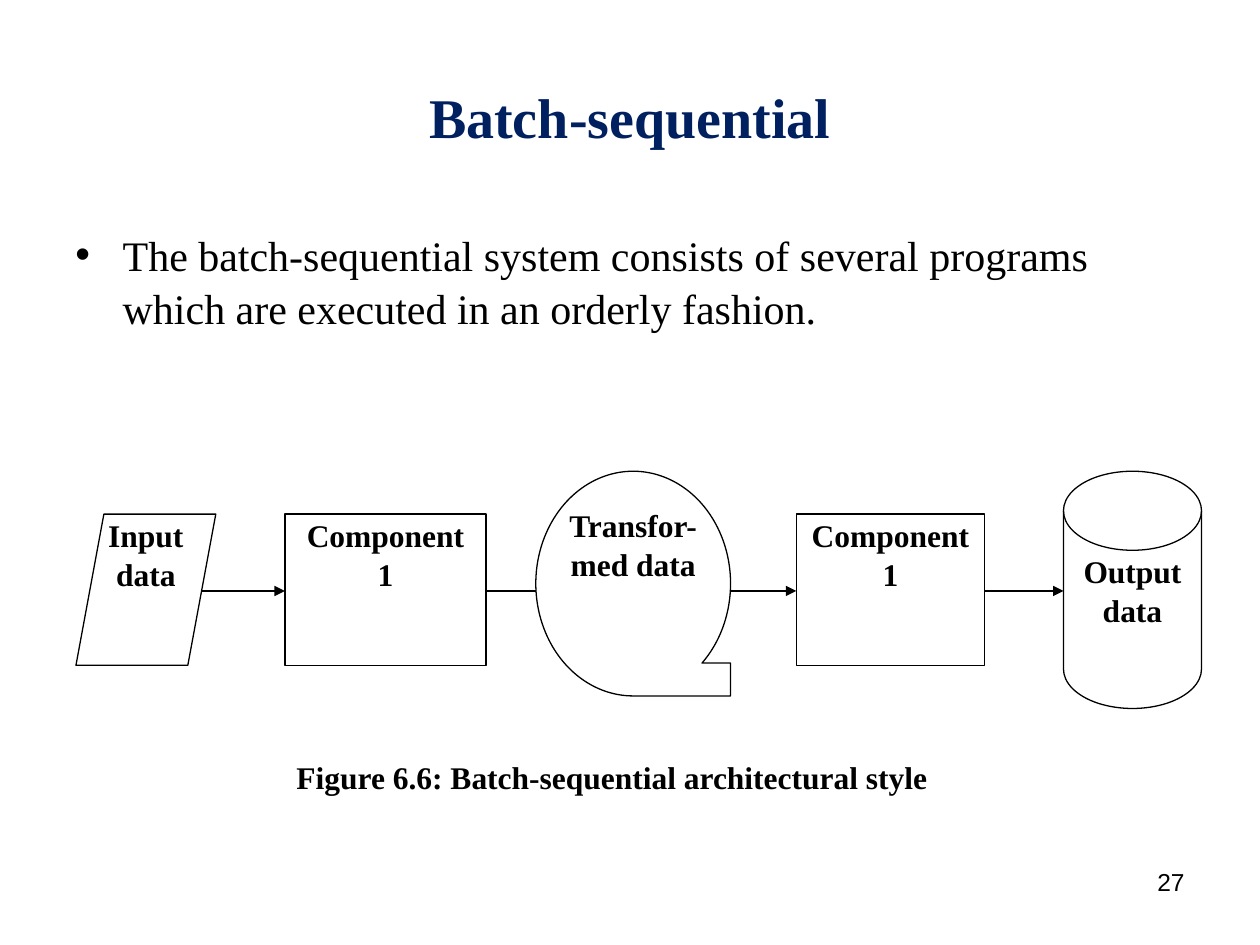
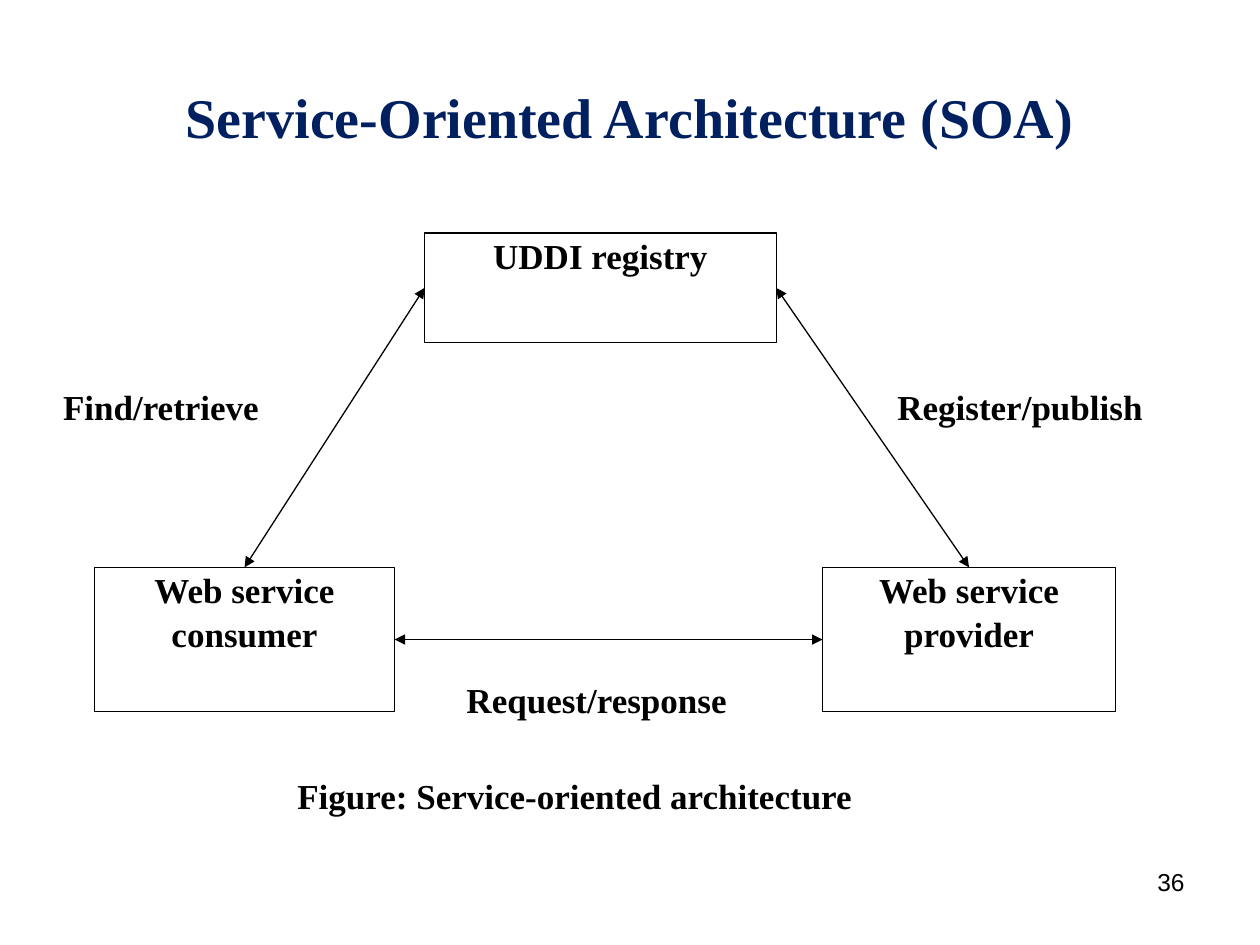
import pptx
import pptx.util
import pptx.dml.color
import pptx.enum.shapes
import pptx.enum.text
import pptx.oxml.ns
from lxml import etree

Pt = pptx.util.Pt
SHAPE = pptx.enum.shapes.MSO_SHAPE
ALIGN = pptx.enum.text.PP_ALIGN
ANCHOR = pptx.enum.text.MSO_ANCHOR
qn = pptx.oxml.ns.qn

COLORS = {"title": "002060", "ink": "000000", "paper": "FFFFFF"}
SERIF = "Times New Roman"
TITLE = {"name": SERIF, "size": Pt(32), "bold": True}
BODY = {"name": SERIF, "size": Pt(24), "bold": False}
FLOW = {"name": SERIF, "size": Pt(18), "bold": True}
SOA = {"name": SERIF, "size": Pt(20), "bold": True}
NUMBER = {"name": "Arial", "size": Pt(14), "bold": False}
NO_INSETS = {f"margin_{side}": 0 for side in ("left", "top", "right", "bottom")}
LINE_SPACING = 1.04


def rgb(name):
    return pptx.dml.color.RGBColor.from_string(COLORS[name])


def set_all(target, values):
    for name, value in values.items():
        setattr(target, name, value)


def write(tf, text, font, align=ALIGN.CENTER, color="ink", spacing=LINE_SPACING):
    """Write one paragraph for each line of text."""
    tf.word_wrap = True
    for i, line in enumerate(text.split("\n")):
        p = tf.add_paragraph() if i else tf.paragraphs[0]
        set_all(p, {"alignment": align, "line_spacing": spacing, "space_before": Pt(0)})
        r = p.add_run()
        r.text = line
        set_all(r.font, font)
        r.font.color.rgb = rgb(color)


def add_box(s, kind, box, text, font, line="ink", align=ALIGN.CENTER):
    """Add a white shape with top-anchored text; line=None leaves it unlined."""
    sp = s.shapes.add_shape(kind, *map(Pt, box))
    sp.shadow.inherit = False
    sp.fill.solid()
    sp.fill.fore_color.rgb = rgb("paper")
    if line:
        sp.line.color.rgb = rgb(line)
        sp.line.width = Pt(0.75)
    else:
        sp.line.fill.background()
    set_all(sp.text_frame, {**NO_INSETS, "vertical_anchor": ANCHOR.TOP})
    write(sp.text_frame, text, font, align)


def add_arrow(s, start, end, both=False):
    kind = pptx.enum.shapes.MSO_CONNECTOR.STRAIGHT
    cxn = s.shapes.add_connector(kind, *map(Pt, (*start, *end)))
    cxn.line.color.rgb = rgb("ink")
    cxn.line.width = Pt(0.75)
    ln = cxn.line._get_or_add_ln()
    for tag in ("a:headEnd", "a:tailEnd") if both else ("a:tailEnd",):
        etree.SubElement(ln, qn(tag), type="triangle")
    etree.SubElement(cxn._element.spPr, qn("a:effectLst"))


def add_slide(prs, title, number):
    s = prs.slides.add_slide(prs.slide_layouts[5])
    sp = s.shapes.title
    set_all(sp, {"left": Pt(36), "top": Pt(21.6), "width": Pt(648), "height": Pt(90)})
    set_all(sp.text_frame, {"vertical_anchor": ANCHOR.MIDDLE,
                            "auto_size": pptx.enum.text.MSO_AUTO_SIZE.NONE})
    write(sp.text_frame, title, TITLE, color="title", spacing=1.0)
    page = s.shapes.add_textbox(Pt(516), Pt(492), Pt(168), Pt(37.2))
    write(page.text_frame, str(number), NUMBER, ALIGN.RIGHT, spacing=1.0)
    return s


def add_bullet(s, box, text):
    tf = s.shapes.add_textbox(*map(Pt, box)).text_frame
    pPr = tf.paragraphs[0]._p.get_or_add_pPr()
    pPr.set("marL", str(Pt(27)))
    pPr.set("indent", str(Pt(-27)))
    etree.SubElement(pPr, qn("a:buFont"), typeface="Arial")
    etree.SubElement(pPr, qn("a:buChar"), char="•")
    write(tf, text, BODY, ALIGN.LEFT, spacing=1.05)


def add_batch_flow(s, box):
    """Draw the row of processing stages, the arrows between them and the caption."""
    x, y, w, h = box
    arrow_y = y + 68.4
    # kind, left, top, width, height, slant of the sides, depth an arrow runs under, text
    stages = [
        (SHAPE.FLOWCHART_DATA, 0, 24.5, 79.9, 86.4, 7.9, 0, "Input data"),
        (SHAPE.FLOWCHART_PROCESS, 119.4, 24.5, 115, 86.4, 0, 0, "Component\n1"),
        (SHAPE.FLOWCHART_SEQUENTIAL_ACCESS_STORAGE, 262.8, 0, 111.3, 128.4, 0, 17,
         "Transfor-med data"),
        (SHAPE.FLOWCHART_PROCESS, 411.6, 24.5, 107.7, 86.4, 0, 0, "Component\n1"),
        (SHAPE.FLOWCHART_MAGNETIC_DISK, 564.3, 0, 78.9, 135.6, 0, 0, "Output data"),
    ]
    for source, target in zip(stages, stages[1:]):
        start = x + source[1] + source[3] - source[5]
        add_arrow(s, (start, arrow_y), (x + target[1] + target[6], arrow_y))
    for kind, left, top, width, height, _, _, text in stages:
        add_box(s, kind, (x + left, y + top, width, height), text, FLOW)
    add_box(s, SHAPE.RECTANGLE, (x + 126, y + h - 38, 413, 38),
            "Figure 6.6: Batch-sequential architectural style", FLOW, "paper", ALIGN.LEFT)


def add_soa_triangle(s, box):
    """Draw registry, consumer and provider, their links and the caption."""
    x, y, w, h = box
    registry = (x + 206.6, y, 201, 62.6)
    consumer = (x + 18, y + 191, 171.5, 82.5)
    provider = (x + 434, y + 191, 167.5, 82.5)
    for part, text in ((registry, "UDDI registry"), (consumer, "Web service consumer"),
                       (provider, "Web service provider")):
        add_box(s, SHAPE.RECTANGLE, part, text, SOA)

    labels = [
        ((x, y + 86.4, 140, 34.5), "Find/retrieve", ALIGN.LEFT),
        ((x + 476.8, y + 86.4, 177, 34.5), "Register/publish", ALIGN.LEFT),
        ((x + 230.6, y + 253.6, 186, 35), "Request/response", ALIGN.LEFT),
        ((x + 64, y + h - 35, 457, 35), "Figure: Service-oriented architecture", ALIGN.CENTER),
    ]
    for part, text, align in labels:
        add_box(s, SHAPE.RECTANGLE, part, text, SOA, None, align)

    def side(part, across, down):
        left, top, width, height = part
        return left + width * across, top + height * down

    links = [
        (side(consumer, 1, 0.5), side(provider, 0, 0.5)),
        (side(consumer, 0.5, 0), side(registry, 0, 0.5)),
        (side(registry, 1, 0.5), side(provider, 0.5, 0)),
    ]
    for start, end in links:
        add_arrow(s, start, end, both=True)


def main():
    prs = pptx.Presentation()
    prs.slide_width, prs.slide_height = Pt(720), Pt(540)

    s = add_slide(prs, "Batch-sequential", 27)
    add_bullet(s, (36, 126, 648, 78),
               "The batch-sequential system consists of several programs "
               "which are executed in an orderly fashion.")
    add_batch_flow(s, (43.4, 269.3, 643, 201))

    s = add_slide(prs, "Service-Oriented Architecture (SOA)", 36)
    add_soa_triangle(s, (36, 133.2, 654, 343.4))

    prs.save("out.pptx")


if __name__ == "__main__":
    main()
